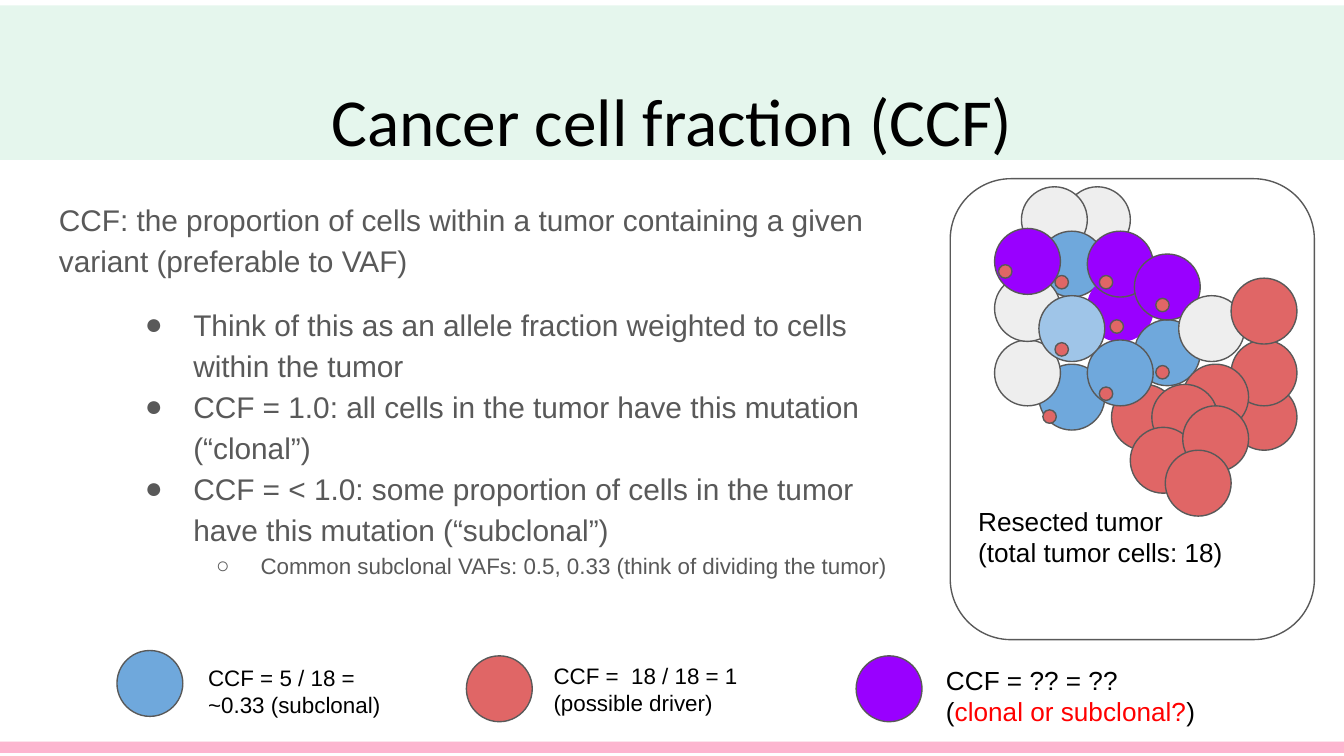
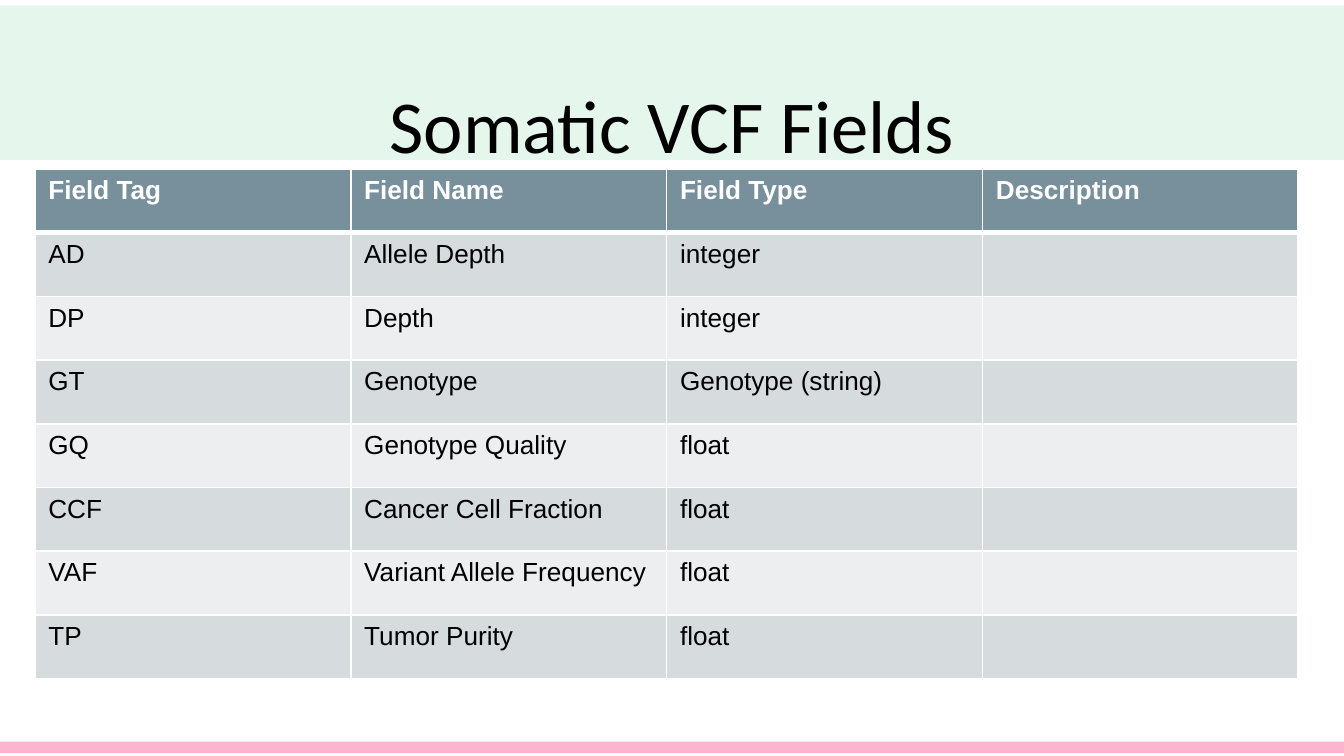
from dataclasses import dataclass

from pptx import Presentation
from pptx.dml.color import RGBColor
from pptx.enum.shapes import MSO_CONNECTOR, MSO_SHAPE
from pptx.enum.text import MSO_ANCHOR, PP_ALIGN
from pptx.oxml.ns import qn
from pptx.util import Inches, Pt
from lxml.etree import SubElement


@dataclass(frozen=True)
class Theme:
    """Colours, fonts and sizes shared by the slides."""

    black: str = "000000"
    white: str = "FFFFFF"
    grey: str = "595959"
    question: str = "FF0000"
    band: str = "00B050"
    footer: str = "FD337B"
    normal_cell: str = "EEEEEE"
    blue_clone: str = "6FA8DC"
    pale_clone: str = "9FC5E8"
    red_clone: str = "E06666"
    purple_clone: str = "9900FF"
    header: str = "78909C"
    stripes: tuple = ("D6DBDE", "ECEEEF")
    title_font: str = "Calibri"
    text_font: str = "Arial"
    body_size: int = 16
    label_size: int = 14
    small_size: int = 12
    outline: float = 0.75
    cell: float = 0.49
    mutation: float = 0.1


THEME = Theme()

BODY = [
    ("CCF: the proportion of cells within a tumor containing a given variant (preferable to VAF)", None),
    ("Think of this as an allele fraction weighted to cells within the tumor", "●"),
    ("CCF = 1.0: all cells in the tumor have this mutation (“clonal”)", "●"),
    ("CCF = < 1.0: some proportion of cells in the tumor have this mutation (“subclonal”)", "●"),
    ("Common subclonal VAFs: 0.5, 0.33 (think of dividing the tumor)", "○"),
]
BULLETS = {"●": (0, 1, 0.36, THEME.body_size), "○": (1, 1.5, 0.33, THEME.small_size)}

NORMAL, BLUE, PALE = THEME.normal_cell, THEME.blue_clone, THEME.pale_clone
RED, PURPLE = THEME.red_clone, THEME.purple_clone
TUMOR_CELLS = [
    (2.09, 1.53, RED), (2.09, 1.2, RED), (0.85, 0.06, NORMAL), (0.53, 0.06, NORMAL),
    (0.66, 0.39, BLUE), (1.02, 0.72, PURPLE, PURPLE), (1.37, 1.05, BLUE), (1.73, 1.38, RED),
    (1.2, 1.53, RED), (0.66, 1.38, BLUE), (0.33, 1.2, NORMAL), (1.02, 1.2, BLUE),
    (0.33, 0.72, NORMAL), (1.02, 0.39, PURPLE), (0.66, 0.87, PALE), (0.33, 0.37, PURPLE),
    (1.37, 0.56, PURPLE), (1.7, 0.87, NORMAL), (1.5, 1.53, RED), (1.34, 1.85, RED),
    (1.73, 1.69, RED), (1.6, 2.02, RED), (2.09, 0.74, RED),
]
MUTATIONS = [
    (1.11, 1.55), (0.69, 1.72), (1.53, 1.39), (1.53, 0.89), (0.78, 1.22),
    (1.19, 1.05), (1.11, 0.72), (0.36, 0.64), (0.78, 0.72),
]

VCF_FIELDS = [
    ("Field Tag", "Field Name", "Field Type", "Description"),
    ("AD", "Allele Depth", "integer", ""),
    ("DP", "Depth", "integer", ""),
    ("GT", "Genotype", "Genotype (string)", ""),
    ("GQ", "Genotype Quality", "float", ""),
    ("CCF", "Cancer Cell Fraction", "float", ""),
    ("VAF", "Variant Allele Frequency", "float", ""),
    ("TP", "Tumor Purity", "float", ""),
]


def set_values(target, values):
    """Set each named attribute of the target."""
    for name, value in values.items():
        setattr(target, name, value)


def set_font(font, size, color=THEME.black, name=THEME.text_font, bold=False):
    """Give a font its face, size, weight and colour."""
    set_values(font, {"name": name, "size": Pt(size), "bold": bold})
    font.color.rgb = RGBColor.from_string(color)


def set_alpha(shape, percent):
    """Make the colours of a shape translucent."""
    for color in shape._element.spPr.iter(qn("a:srgbClr")):
        SubElement(color, qn("a:alpha")).set("val", str(percent * 1000))


def add_shape(slide, kind, box, fill=None, line=THEME.grey):
    """Add a preset shape with a flat fill and thin outline."""
    shape = slide.shapes.add_shape(kind, *map(Inches, box))
    shape.shadow.inherit = False
    for part, color in ((shape.fill, fill), (shape.line.fill, line)):
        if color:
            part.solid()
            part.fore_color.rgb = RGBColor.from_string(color)
        else:
            part.background()
    if line:
        shape.line.width = Pt(THEME.outline)
    return shape


def add_circle(slide, left, top, size, fill, line=THEME.grey):
    """Add a filled circle."""
    return add_shape(slide, MSO_SHAPE.OVAL, (left, top, size, size), fill, line)


def add_frame(slide, box):
    """Add a wrapping text box and return its text frame."""
    frame = slide.shapes.add_textbox(*map(Inches, box)).text_frame
    margins = {f"margin_{side}": Inches(0.1) for side in ("left", "top", "right", "bottom")}
    set_values(frame, {"word_wrap": True, "vertical_anchor": MSO_ANCHOR.TOP, **margins})
    return frame


def add_label(slide, box, paragraphs, size):
    """Add paragraphs made of (text, colour) runs; a newline run breaks the line."""
    frame = add_frame(slide, box)
    for index, runs in enumerate(paragraphs):
        paragraph = frame.add_paragraph() if index else frame.paragraphs[0]
        for text, color in runs:
            if text == "\n":
                paragraph.add_line_break()
                continue
            run = paragraph.add_run()
            run.text = text
            set_font(run.font, size, color)


def add_base(presentation, title, size):
    """Add a slide with the title band, footer lines and title."""
    slide = presentation.slides.add_slide(presentation.slide_layouts[6])
    band = add_shape(slide, MSO_SHAPE.RECTANGLE, (0, 0.04, 10, 1.15), THEME.band, None)
    set_alpha(band, 10)
    for _ in range(2):
        footer = slide.shapes.add_connector(
            MSO_CONNECTOR.STRAIGHT, *map(Inches, (0, 5.56, 10, 5.56)))
        footer.line.width = Pt(6)
        footer.line.color.rgb = RGBColor.from_string(THEME.footer)
        SubElement(footer._element.spPr, qn("a:effectLst"))
        set_alpha(footer, 20)
    paragraph = add_frame(slide, (0.34, 0.49, 9.32, 0.63)).paragraphs[0]
    set_values(paragraph, {"text": title, "alignment": PP_ALIGN.CENTER})
    set_font(paragraph.runs[0].font, size, name=THEME.title_font)
    return slide


def add_bullet(paragraph, mark, margin, hanging):
    """Give a paragraph a hanging bullet in the body colour."""
    properties = paragraph._p.get_or_add_pPr()
    properties.set("marL", str(Inches(margin)))
    properties.set("indent", str(-Inches(hanging)))
    color = SubElement(properties, qn("a:buClr"))
    SubElement(color, qn("a:srgbClr")).set("val", THEME.grey)
    SubElement(properties, qn("a:buFont")).set("typeface", THEME.text_font)
    SubElement(properties, qn("a:buChar")).set("char", mark)


def add_body(slide, box):
    """Add the definition and its bullets."""
    frame = add_frame(slide, box)
    for index, (text, mark) in enumerate(BODY):
        paragraph = frame.add_paragraph() if index else frame.paragraphs[0]
        size = THEME.body_size
        set_values(paragraph, {"text": text, "line_spacing": 1.15})
        if index == 1:
            paragraph.space_before = Pt(12)
        if mark:
            level, margin, hanging, size = BULLETS[mark]
            paragraph.level = level
            add_bullet(paragraph, mark, margin, hanging)
        set_font(paragraph.runs[0].font, size, THEME.grey)


def add_tumor(slide, box):
    """Add the panel with the tumor cells and their mutations."""
    left, top = box[:2]
    add_shape(slide, MSO_SHAPE.ROUNDED_RECTANGLE, box)
    for x, y, *colors in TUMOR_CELLS:
        add_circle(slide, left + x, top + y, THEME.cell, *colors)
    add_label(slide, (left + 0.11, top + 2.33, 2.47, 0.67),
              [[("Resected tumor", THEME.black)], [("(total tumor cells: 18)", THEME.black)]],
              THEME.label_size)
    for x, y in MUTATIONS:
        add_circle(slide, left + x, top + y, THEME.mutation, RED)


def add_legend_item(slide, box, color, offset, runs, size):
    """Add a coloured cell at the left of the box and its fraction beside it."""
    left, top, width, height = box
    add_circle(slide, left, top, THEME.cell, color)
    across, down = offset
    add_label(slide, (left + across, top + down, width - across, height), [runs], size)


def add_fraction_slide(presentation):
    """Add the slide on cancer cell fraction."""
    slide = add_base(presentation, "Cancer cell fraction (CCF)", 36)
    add_body(slide, (0.34, 1.36, 6.52, 3.74))
    add_tumor(slide, (7.07, 1.33, 2.71, 3.43))
    add_legend_item(slide, (0.87, 4.84, 2.27, 0.61), BLUE, (0.58, 0),
                    [("CCF = 5 / 18 = ~0.33 (subclonal)", THEME.black)], THEME.small_size)
    add_legend_item(slide, (3.47, 4.88, 2.2, 0.61), RED, (0.55, -0.05),
                    [("CCF =  18 / 18 = 1 (possible driver)", THEME.black)], THEME.small_size)
    add_legend_item(slide, (6.37, 4.88, 2.78, 0.67), PURPLE, (0.57, -0.04),
                    [("CCF = ?? = ??", THEME.black), ("\n", None), ("(", THEME.black),
                     ("clonal or subclonal?", THEME.question), (")", THEME.black)],
                    THEME.label_size)


def set_borders(cell, row):
    """Draw white cell borders, thicker below the header row."""
    widths = {"L": 1, "R": 1, "T": 3 if row == 1 else 1, "B": 3 if row == 0 else 1}
    for side, width in widths.items():
        line = SubElement(cell._tc.get_or_add_tcPr(), qn(f"a:ln{side}"))
        line.set("w", str(Pt(width)))
        SubElement(SubElement(line, qn("a:solidFill")), qn("a:srgbClr")).set("val", THEME.white)


def add_field_table(slide, box):
    """Add the table of fields with a header and striped rows."""
    table = slide.shapes.add_table(
        len(VCF_FIELDS), len(VCF_FIELDS[0]), *map(Inches, box)).table
    for row, texts in enumerate(VCF_FIELDS):
        fill = THEME.stripes[(row - 1) % 2] if row else THEME.header
        for column, text in enumerate(texts):
            cell = table.cell(row, column)
            set_borders(cell, row)
            cell.fill.solid()
            cell.fill.fore_color.rgb = RGBColor.from_string(fill)
            if text:
                cell.text = text
                set_font(cell.text_frame.paragraphs[0].runs[0].font, THEME.label_size,
                         THEME.black if row else THEME.white, bold=row == 0)


def add_fields_slide(presentation):
    """Add the slide listing the somatic fields."""
    slide = add_base(presentation, "Somatic VCF Fields", 40)
    add_field_table(slide, (0.26, 1.26, 9.4, 3.79))


def main():
    """Build and save the widescreen presentation."""
    presentation = Presentation()
    width = Inches(10)
    set_values(presentation, {"slide_width": width, "slide_height": width * 9 // 16})
    add_fraction_slide(presentation)
    add_fields_slide(presentation)
    presentation.save("out.pptx")


if __name__ == "__main__":
    main()
